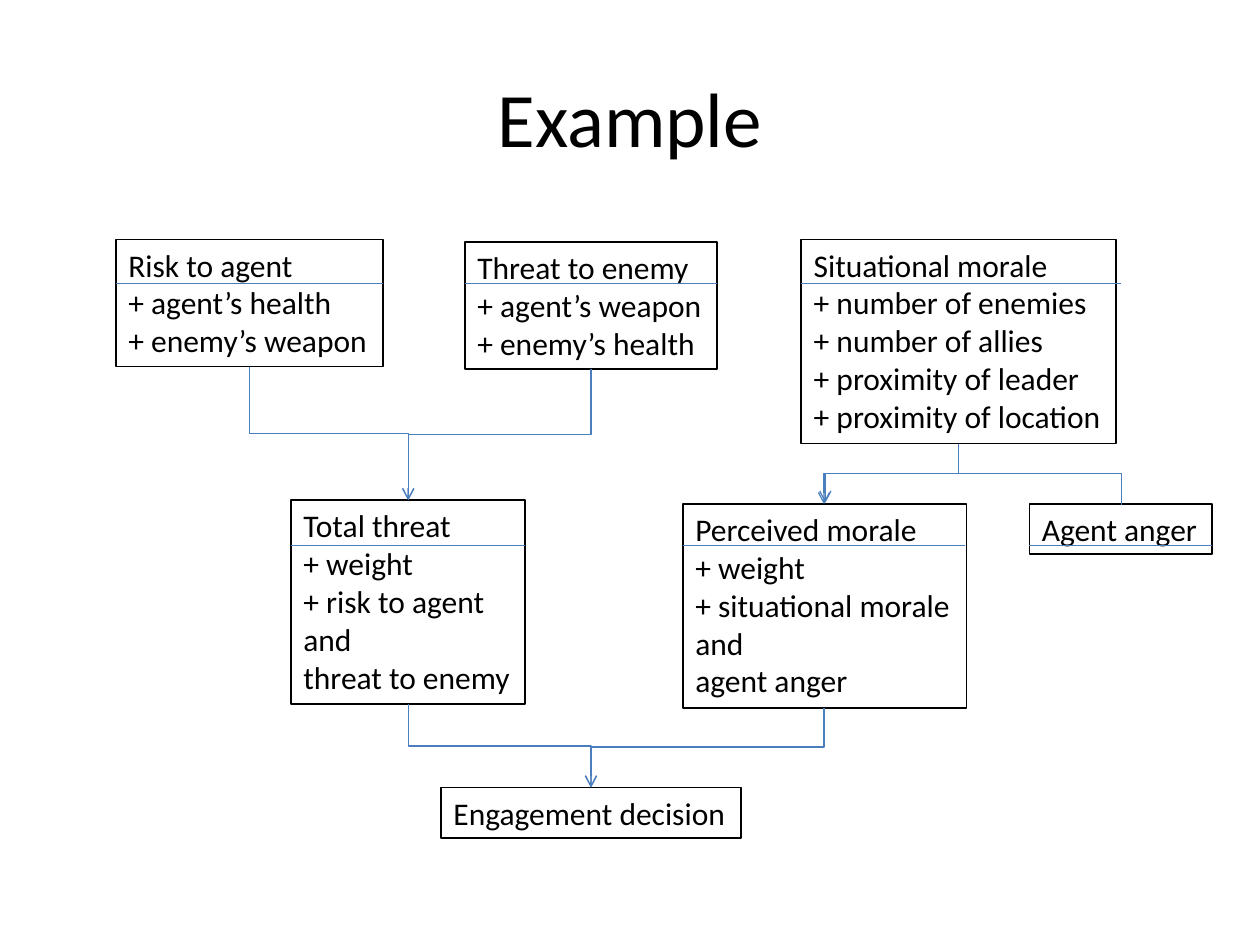
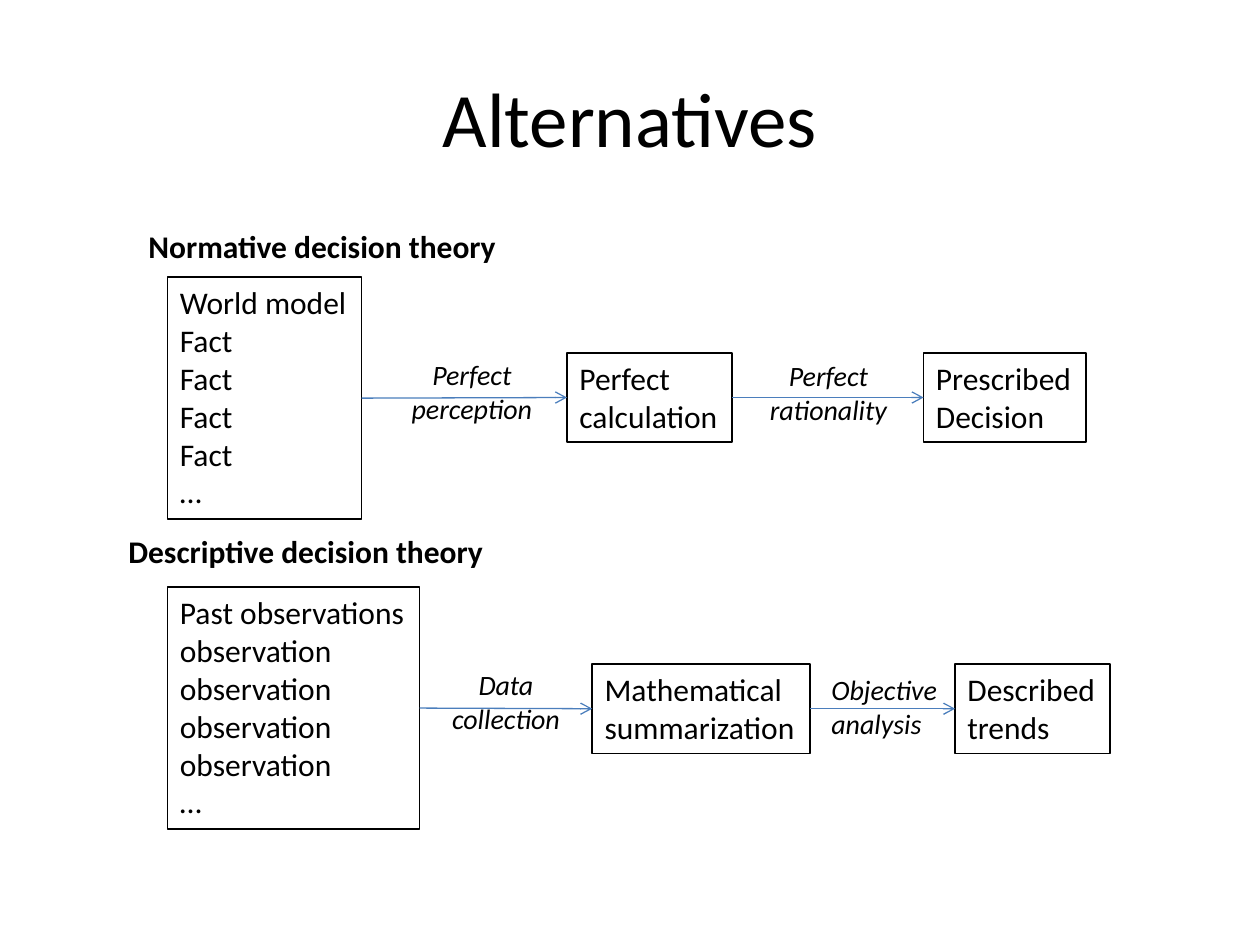
from lxml.etree import SubElement
from pptx import Presentation
from pptx.dml.color import RGBColor
from pptx.enum.shapes import MSO_CONNECTOR
from pptx.enum.text import MSO_ANCHOR, MSO_AUTO_SIZE, PP_ALIGN
from pptx.oxml.ns import qn
from pptx.util import Inches, Pt

BLACK = RGBColor(0x00, 0x00, 0x00)
WHITE = RGBColor(0xFF, 0xFF, 0xFF)
BLUE = RGBColor(0x4B, 0x7E, 0xBC)
FONT = "Calibri"


def add_text(slide, place, lines, size=18, bold=False, italic=False,
             align=PP_ALIGN.LEFT, outlined=False):
    """Add an unwrapped text box with one paragraph per line."""
    box = slide.shapes.add_textbox(*map(Inches, place))
    if outlined:
        box.line.color.rgb = BLACK
        box.line.width = Pt(1)
    frame = box.text_frame
    frame.word_wrap = False
    frame.auto_size = MSO_AUTO_SIZE.SHAPE_TO_FIT_TEXT
    for number, line in enumerate(lines):
        paragraph = frame.add_paragraph() if number else frame.paragraphs[0]
        paragraph.alignment = align
        run = paragraph.add_run()
        run.text = line
        run.font.name = FONT
        run.font.size = Pt(size)
        run.font.bold = bold
        run.font.italic = italic
        run.font.color.rgb = BLACK
    return box


def add_line(slide, begin, end, kind=MSO_CONNECTOR.STRAIGHT, arrow=False):
    """Add a thin blue connector without a shadow."""
    line = slide.shapes.add_connector(kind, *map(Inches, (*begin, *end)))
    line.line.color.rgb = BLUE
    line.line.width = Pt(0.75)
    if arrow:
        SubElement(line.get_or_add_ln(), qn("a:tailEnd"), type="arrow")
    SubElement(line.element.spPr, qn("a:effectLst"))
    return line


prs = Presentation()
prs.slide_width = Inches(10)
prs.slide_height = Inches(7.5)

slides = []
for heading in ("Example", "Alternatives"):
    slide = prs.slides.add_slide(prs.slide_layouts[5])
    slide.background.fill.solid()
    slide.background.fill.fore_color.rgb = WHITE
    title = slide.shapes.title
    title.left, title.top = Inches(0.5), Inches(0.3)
    title.width, title.height = Inches(9), Inches(1.25)
    title.text_frame.vertical_anchor = MSO_ANCHOR.MIDDLE
    paragraph = title.text_frame.paragraphs[0]
    paragraph.alignment = PP_ALIGN.CENTER
    run = paragraph.add_run()
    run.text = heading
    run.font.name = FONT
    run.font.size = Pt(44)
    run.font.color.rgb = BLACK
    slides.append(slide)
example, alternatives = slides

# Example: factors that lead to an engagement decision
factors = [
    ((0.92, 1.9, 2.12, 1.01),
     ["Risk to agent", "+ agent’s health", "+ enemy’s weapon"]),
    ((3.69, 1.92, 2, 1.01),
     ["Threat to enemy", "+ agent’s weapon", "+ enemy’s health"]),
    ((6.36, 1.9, 2.5, 1.62),
     ["Situational morale", "+ number of enemies", "+ number of allies",
      "+ proximity of leader", "+ proximity of location"]),
    ((2.31, 3.97, 1.86, 1.62),
     ["Total threat", "+ weight", "+ risk to agent", "and", "threat to enemy"]),
    ((5.42, 4, 2.25, 1.62),
     ["Perceived morale", "+ weight", "+ situational morale", "and",
      "agent anger"]),
    ((8.17, 4, 1.45, 0.4), ["Agent anger"]),
    ((3.5, 6.25, 2.38, 0.4), ["Engagement decision"]),
]
for place, lines in factors:
    add_text(example, place, lines, outlined=True)

# Each flow leaves vertically, crosses at the bend height and arrives vertically.
flows = [
    ((1.98, 2.91), (3.24, 3.97), 3.44),
    ((4.69, 2.93), (3.24, 3.97), 3.45),
    ((7.61, 3.52), (6.54, 4), 3.76),
    ((8.9, 4.01), (6.55, 3.99), 3.76),
    ((3.24, 5.59), (4.69, 6.25), 5.92),
    ((6.54, 5.62), (4.69, 6.25), 5.93),
]
for (x1, y1), (x2, y2), bend in flows:
    center_x, center_y = (x1 + x2) / 2, (y1 + y2) / 2
    half_x, half_y = (x2 - x1) / 2, (y2 - y1) / 2
    # The elbow is laid out on its side, then turned by 270 degrees.
    flow = add_line(example, (center_x + half_y, center_y - half_x),
                    (center_x - half_y, center_y + half_x),
                    MSO_CONNECTOR.ELBOW, arrow=True)
    properties = flow.element.spPr
    properties.find(qn("a:xfrm")).set("rot", str(270 * 60000))
    adjustments = properties.find(qn("a:prstGeom")).find(qn("a:avLst"))
    share = round((bend - y1) / (y2 - y1) * 100000)
    SubElement(adjustments, qn("a:gd"), name="adj1", fmla=f"val {share}")

rules = [
    (2.25, [(0.92, 3.04), (3.69, 5.69), (6.36, 8.9)]),
    (4.33, [(2.31, 4.17), (5.42, 7.66), (8.17, 9.62)]),
]
for y, spans in rules:
    for left, right in spans:
        add_line(example, (left, y), (right, y))

# Alternatives: two theories, each a chain of three stages
theories = [
    ("Normative decision theory", (1.08, 1.75, 2.98, 0.4),
     [((1.33, 2.2, 1.54, 1.92), ["World model", *["Fact"] * 4, "…"]),
      ((4.5, 2.8, 1.31, 0.71), ["Perfect", "calculation"]),
      ((7.33, 2.8, 1.29, 0.71), ["Prescribed", "Decision"])],
     [((3.15, 2.79, 1.19, 0.64), ["Perfect", "perception"], PP_ALIGN.CENTER),
      ((6, 2.8, 1.15, 0.64), ["Perfect", "rationality"], PP_ALIGN.CENTER)]),
    ("Descriptive decision theory", (0.92, 4.17, 3.04, 0.4),
     [((1.33, 4.66, 2, 1.92),
       ["Past observations", *["observation"] * 4, "…"]),
      ((4.7, 5.27, 1.73, 0.71), ["Mathematical", "summarization"]),
      ((7.58, 5.27, 1.23, 0.71), ["Described", "trends"])],
     [((3.47, 5.25, 1.09, 0.64), ["Data", "collection"], PP_ALIGN.CENTER),
      ((6.5, 5.29, 1.07, 0.64), ["Objective", "analysis"], PP_ALIGN.LEFT)]),
]
for theory, theory_place, stages, steps in theories:
    add_text(alternatives, theory_place, [theory], bold=True)
    chain = [add_text(alternatives, place, lines, outlined=True)
             for place, lines in stages]
    for source, target in zip(chain, chain[1:]):
        step = add_line(alternatives, (0, 0), (1, 0), arrow=True)
        step.begin_connect(source, 3)
        step.end_connect(target, 1)
    for place, lines, align in steps:
        add_text(alternatives, place, lines, size=16, italic=True, align=align)

prs.save("out.pptx")
